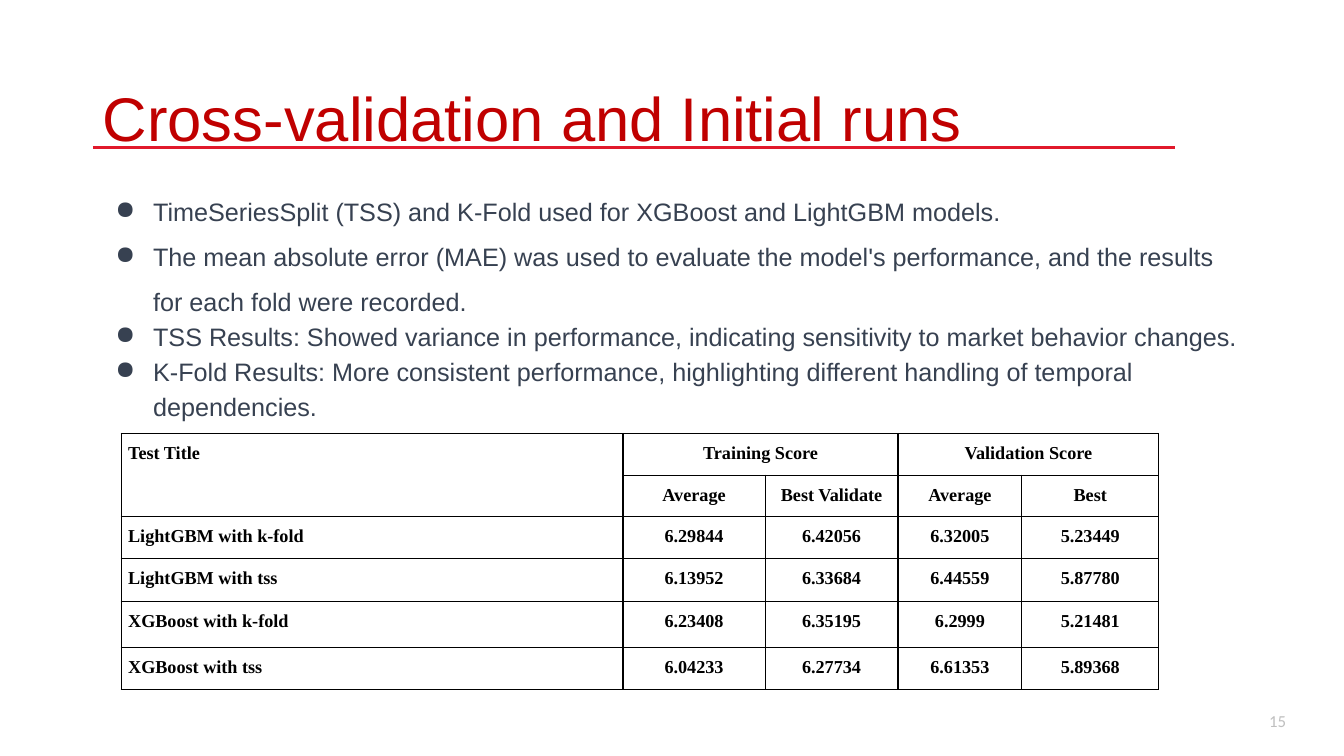
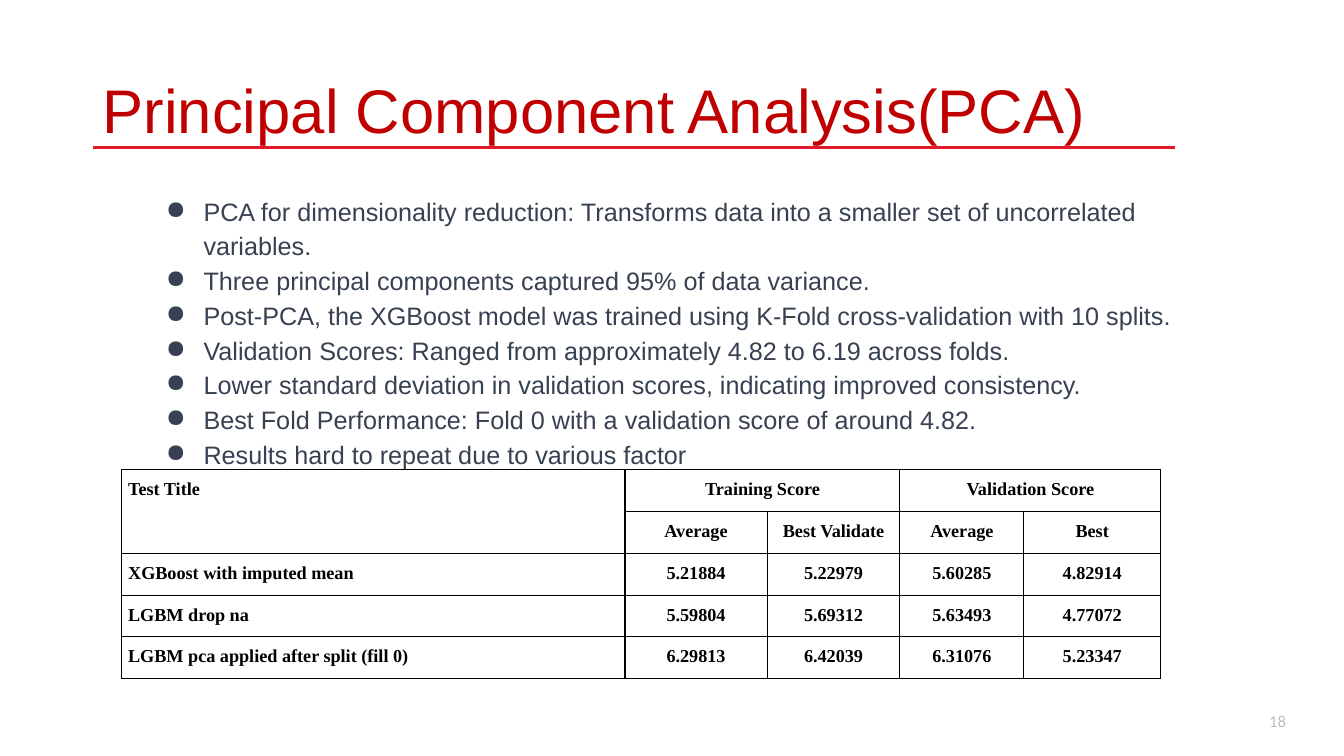
from dataclasses import dataclass

from lxml import etree
from pptx import Presentation
from pptx import util as u
from pptx.dml.color import RGBColor
from pptx.enum import shapes, text
from pptx.oxml.ns import qn


@dataclass(frozen=True)
class Theme:
    red: str = "C00000"
    rule: str = "E1192B"
    body: str = "374151"
    number: str = "BFBFBF"
    black: str = "000000"
    white: str = "FFFFFF"
    sans: str = "Arial"
    serif: str = "Times New Roman"
    footer: str = "Calibri"
    title_size: float = 44
    body_size: float = 18
    table_size: float = 13
    number_size: float = 12
    rule_width: float = 2
    border_width: float = 0.86


THEME = Theme()
LEFT, CONTENT_WIDTH = 2.34, 29.21
SCORE_COLUMNS = [3.58, 3.35, 3.12, 3.45]
HEADER_HEIGHTS = [0.76, 0.66]
HEADER = [
    ["Test Title", "Training Score", "", "Validation Score", ""],
    ["", "Average", "Best Validate", "Average", "Best"],
]
HEADER_MERGES = [((0, 0), (1, 0)), ((0, 1), (0, 2)), ((0, 3), (0, 4))]


def write(paragraph, content, *, font, size, color, bold=False,
          align=text.PP_ALIGN.LEFT, spacing=None):
    """Put one formatted run in a paragraph."""
    paragraph.alignment = align
    if spacing:
        paragraph.line_spacing = spacing
    run = paragraph.add_run()
    run.text = content
    run.font.name = font
    run.font.size = u.Pt(size)
    run.font.bold = bold
    run.font.color.rgb = RGBColor.from_string(color)


def add_bullet(paragraph, color, margin, hanging):
    properties = paragraph._p.get_or_add_pPr()
    properties.set("marL", str(u.Cm(margin)))
    properties.set("indent", str(-u.Cm(hanging)))
    bullet_color = etree.SubElement(properties, qn("a:buClr"))
    etree.SubElement(bullet_color, qn("a:srgbClr"), val=color)
    etree.SubElement(properties, qn("a:buChar"), char="●")


def add_borders(cell, color, width):
    properties = cell._tc.get_or_add_tcPr()
    for position, side in enumerate(("a:lnL", "a:lnR", "a:lnT", "a:lnB")):
        line = etree.Element(qn(side), w=str(u.Pt(width)))
        fill = etree.SubElement(line, qn("a:solidFill"))
        etree.SubElement(fill, qn("a:srgbClr"), val=color)
        properties.insert(position, line)


class Deck:
    def __init__(self, theme):
        self.theme = theme
        self.presentation = Presentation()
        self.presentation.slide_width = u.Cm(33.87)
        self.presentation.slide_height = u.Cm(19.05)
        self.slide = None

    def new_slide(self, title, number, title_top):
        """Start a slide with its rule, title and number."""
        theme = self.theme
        self.slide = self.presentation.slides.add_slide(
            self.presentation.slide_layouts[6])
        self.rule(LEFT, 29.6, 3.71)
        frame = self.text_frame(LEFT, title_top, CONTENT_WIDTH, 3.68,
                                text.MSO_ANCHOR.MIDDLE)
        write(frame.paragraphs[0], title, font=theme.sans,
              size=theme.title_size, color=theme.red, spacing=0.9)
        frame = self.text_frame(25.04, 17.65, 7.62, 1.02,
                                text.MSO_ANCHOR.MIDDLE)
        write(frame.paragraphs[0], str(number), font=theme.footer,
              size=theme.number_size, color=theme.number,
              align=text.PP_ALIGN.RIGHT)

    def rule(self, start, end, top):
        line = self.slide.shapes.add_connector(
            shapes.MSO_CONNECTOR.STRAIGHT,
            u.Cm(start), u.Cm(top), u.Cm(end), u.Cm(top))
        line.line.color.rgb = RGBColor.from_string(self.theme.rule)
        line.line.width = u.Pt(self.theme.rule_width)
        etree.SubElement(line._element.spPr, qn("a:effectLst"))

    def text_frame(self, left, top, width, height,
                   anchor=text.MSO_ANCHOR.TOP):
        box = self.slide.shapes.add_textbox(
            u.Cm(left), u.Cm(top), u.Cm(width), u.Cm(height))
        frame = box.text_frame
        frame.word_wrap = True
        frame.vertical_anchor = anchor
        return frame

    def bullets(self, items, margin):
        """Each item is a text with its line spacing."""
        theme = self.theme
        frame = self.text_frame(LEFT, 4.7, CONTENT_WIDTH, 12.09)
        for index, (content, spacing) in enumerate(items):
            paragraph = frame.add_paragraph() if index else frame.paragraphs[0]
            add_bullet(paragraph, theme.body, margin, 0.95)
            write(paragraph, content, font=theme.sans, size=theme.body_size,
                  color=theme.body, spacing=spacing)

    def score_table(self, top, title_width, results, heights):
        rows = HEADER + results
        widths = [title_width] + SCORE_COLUMNS
        heights = HEADER_HEIGHTS + heights
        table = self.slide.shapes.add_table(
            len(rows), len(widths), u.Cm(3.05), u.Cm(top),
            u.Cm(sum(widths)), u.Cm(sum(heights))).table
        table.first_row = table.horz_banding = False
        for column, width in zip(table.columns, widths):
            column.width = u.Cm(width)
        for row, height in zip(table.rows, heights):
            row.height = u.Cm(height)
        for row_index, row in enumerate(rows):
            for column_index, content in enumerate(row):
                self.fill_cell(table.cell(row_index, column_index), content,
                               centred=column_index > 0)
        for first, last in HEADER_MERGES:
            table.cell(*first).merge(table.cell(*last))

    def fill_cell(self, cell, content, centred):
        theme = self.theme
        cell.margin_left = cell.margin_right = u.Cm(0.18)
        cell.margin_top = cell.margin_bottom = u.Cm(0.25)
        cell.fill.solid()
        cell.fill.fore_color.rgb = RGBColor.from_string(theme.white)
        add_borders(cell, theme.black, theme.border_width)
        if content:
            align = text.PP_ALIGN.CENTER if centred else text.PP_ALIGN.LEFT
            write(cell.text_frame.paragraphs[0], content, font=theme.serif,
                  size=theme.table_size, color=theme.black, bold=True,
                  align=align)


def main():
    deck = Deck(THEME)

    # Cross-validation
    deck.new_slide("Cross-validation and Initial runs", 15, title_top=1.22)
    deck.bullets([
        ("TimeSeriesSplit (TSS) and K-Fold used for XGBoost and LightGBM "
         "models.", 1.15),
        ("The mean absolute error (MAE) was used to evaluate the model's "
         "performance, and the results for each fold were recorded.", 1.5),
        ("TSS Results: Showed variance in performance, indicating "
         "sensitivity to market behavior changes.", 1.15),
        ("K-Fold Results: More consistent performance, highlighting "
         "different handling of temporal dependencies.", 1.15),
    ], margin=1.27)
    deck.score_table(10.92, 12.65, [
        ["LightGBM with k-fold", "6.29844", "6.42056", "6.32005", "5.23449"],
        ["LightGBM with tss", "6.13952", "6.33684", "6.44559", "5.87780"],
        ["XGBoost with k-fold", "6.23408", "6.35195", "6.2999", "5.21481"],
        ["XGBoost with tss", "6.04233", "6.27734", "6.61353", "5.89368"],
    ], heights=[0.96, 1.07, 1.18, 1.04])

    # Principal components
    deck.new_slide("Principal Component Analysis(PCA)", 18, title_top=1.02)
    findings = [
        "PCA for dimensionality reduction: Transforms data into a smaller "
        "set of uncorrelated variables.",
        "Three principal components captured 95% of data variance.",
        "Post-PCA, the XGBoost model was trained using K-Fold "
        "cross-validation with 10 splits.",
        "Validation Scores: Ranged from approximately 4.82 to 6.19 across "
        "folds.",
        "Lower standard deviation in validation scores, indicating improved "
        "consistency.",
        "Best Fold Performance: Fold 0 with a validation score of around "
        "4.82.",
        "Results hard to repeat due to various factor",
    ]
    deck.bullets([(finding, 1.15) for finding in findings], margin=2.54)
    deck.score_table(11.84, 12.7, [
        ["XGBoost with imputed mean",
         "5.21884", "5.22979", "5.60285", "4.82914"],
        ["LGBM drop na", "5.59804", "5.69312", "5.63493", "4.77072"],
        ["LGBM pca applied after split (fill 0)",
         "6.29813", "6.42039", "6.31076", "5.23347"],
    ], heights=[0.96] * 3)

    deck.presentation.save("out.pptx")


if __name__ == "__main__":
    main()
